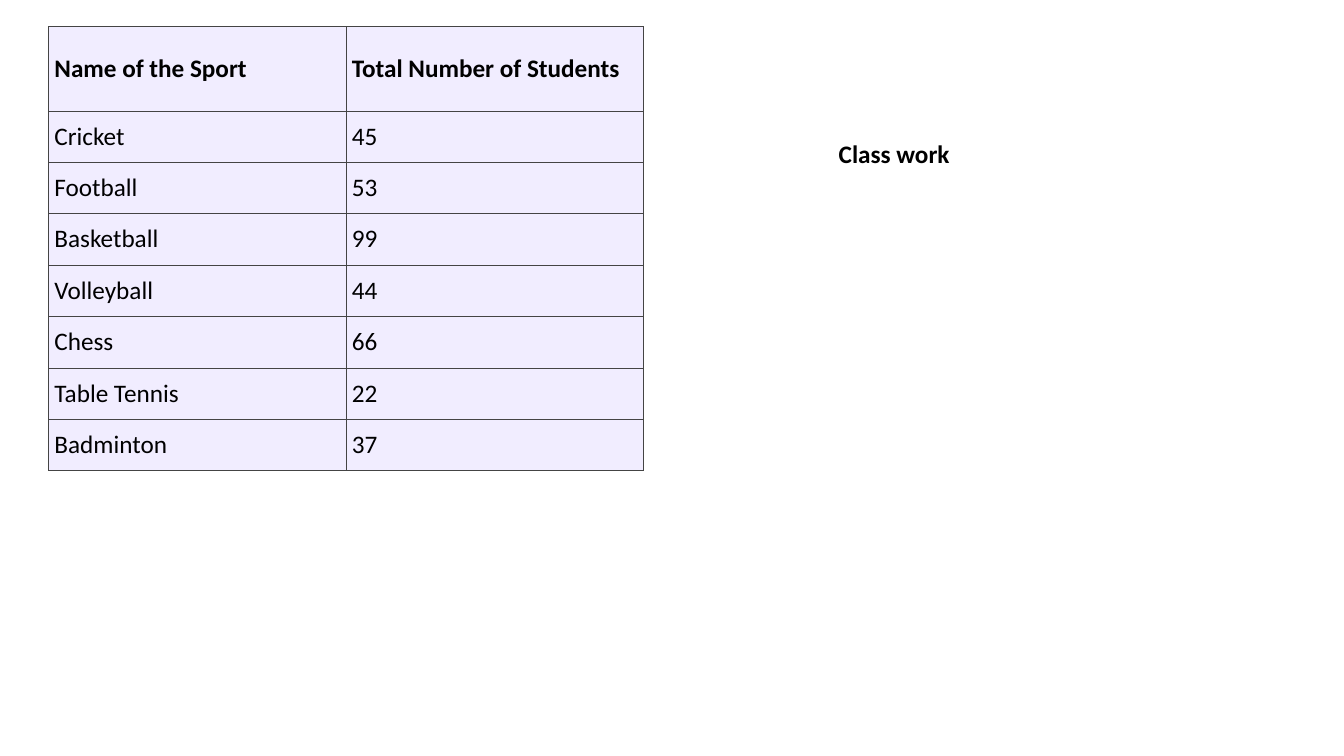
from lxml.etree import SubElement
from pptx import Presentation
from pptx.dml.color import RGBColor
from pptx.enum.text import MSO_ANCHOR as Anchor, MSO_AUTO_SIZE as AutoSize
from pptx.oxml.ns import qn
from pptx.util import Inches, Pt

BLACK = RGBColor(0x00, 0x00, 0x00)
LAVENDER = RGBColor(0xF1, 0xED, 0xFF)
GREY = RGBColor(0x44, 0x44, 0x44)

FONT_FORMAT = {"name": "Calibri", "size": Pt(18)}
CELL_FORMAT = {
    "vertical_anchor": Anchor.MIDDLE,
    "margin_left": Inches(0.06),
    "margin_right": Inches(0.06),
    "margin_top": Inches(0.08),
    "margin_bottom": Inches(0.08),
}
LABEL_FORMAT = {"word_wrap": False, "auto_size": AutoSize.SHAPE_TO_FIT_TEXT}
BORDER_SIDES = ("a:lnL", "a:lnR", "a:lnT", "a:lnB")

HEADINGS = ("Name of the Sport", "Total Number of Students")
STUDENTS_BY_SPORT = {
    "Cricket": 45,
    "Football": 53,
    "Basketball": 99,
    "Volleyball": 44,
    "Chess": 66,
    "Table Tennis": 22,
    "Badminton": 37,
}
COLUMN_WIDTH, HEADING_HEIGHT, SPORT_HEIGHT = 2.95, 0.84, 0.51


def apply_format(target, values):
    """Set each named attribute of the target."""
    for attribute, value in values.items():
        setattr(target, attribute, value)


def write_text(frame, text, bold):
    """Write one formatted run into a text frame."""
    run = frame.paragraphs[0].add_run()
    run.text = text
    apply_format(run.font, {**FONT_FORMAT, "bold": bold})
    run.font.color.rgb = BLACK


def draw_borders(cell):
    """Give a cell a thin line on all four sides."""
    properties = cell._tc.get_or_add_tcPr()
    for side in BORDER_SIDES:
        line = SubElement(properties, qn(side), w=str(Pt(0.25)))
        fill = SubElement(line, qn("a:solidFill"))
        SubElement(fill, qn("a:srgbClr"), val=str(GREY))


def add_sports_table(slide, left, top):
    """Add the table of students in each sport."""
    rows = [HEADINGS, *STUDENTS_BY_SPORT.items()]
    width = COLUMN_WIDTH * len(HEADINGS)
    height = HEADING_HEIGHT + SPORT_HEIGHT * len(STUDENTS_BY_SPORT)
    sports = slide.shapes.add_table(
        len(rows), len(HEADINGS),
        Inches(left), Inches(top), Inches(width), Inches(height),
    ).table
    apply_format(sports, {"first_row": False, "horz_banding": False})
    for column in sports.columns:
        column.width = Inches(COLUMN_WIDTH)
    for index, values in enumerate(rows):
        is_heading = index == 0
        sports.rows[index].height = Inches(HEADING_HEIGHT if is_heading else SPORT_HEIGHT)
        for cell, value in zip(sports.rows[index].cells, values):
            draw_borders(cell)
            apply_format(cell, CELL_FORMAT)
            cell.fill.solid()
            cell.fill.fore_color.rgb = LAVENDER
            write_text(cell.text_frame, str(value), is_heading)


def add_label(slide, text, left, top, width, height):
    """Add a bold label that fits its text."""
    frame = slide.shapes.add_textbox(
        Inches(left), Inches(top), Inches(width), Inches(height)
    ).text_frame
    apply_format(frame, LABEL_FORMAT)
    write_text(frame, text, True)


def main():
    """Build the class work slide."""
    deck = Presentation()
    apply_format(deck, {"slide_width": Inches(13.33), "slide_height": Inches(7.5)})
    slide = deck.slides.add_slide(deck.slide_layouts.get_by_name("Blank"))
    add_sports_table(slide, 0.48, 0.26)
    add_label(slide, "Class work", 8.22, 1.32, 1.31, 0.4)
    deck.save("out.pptx")


if __name__ == "__main__":
    main()
